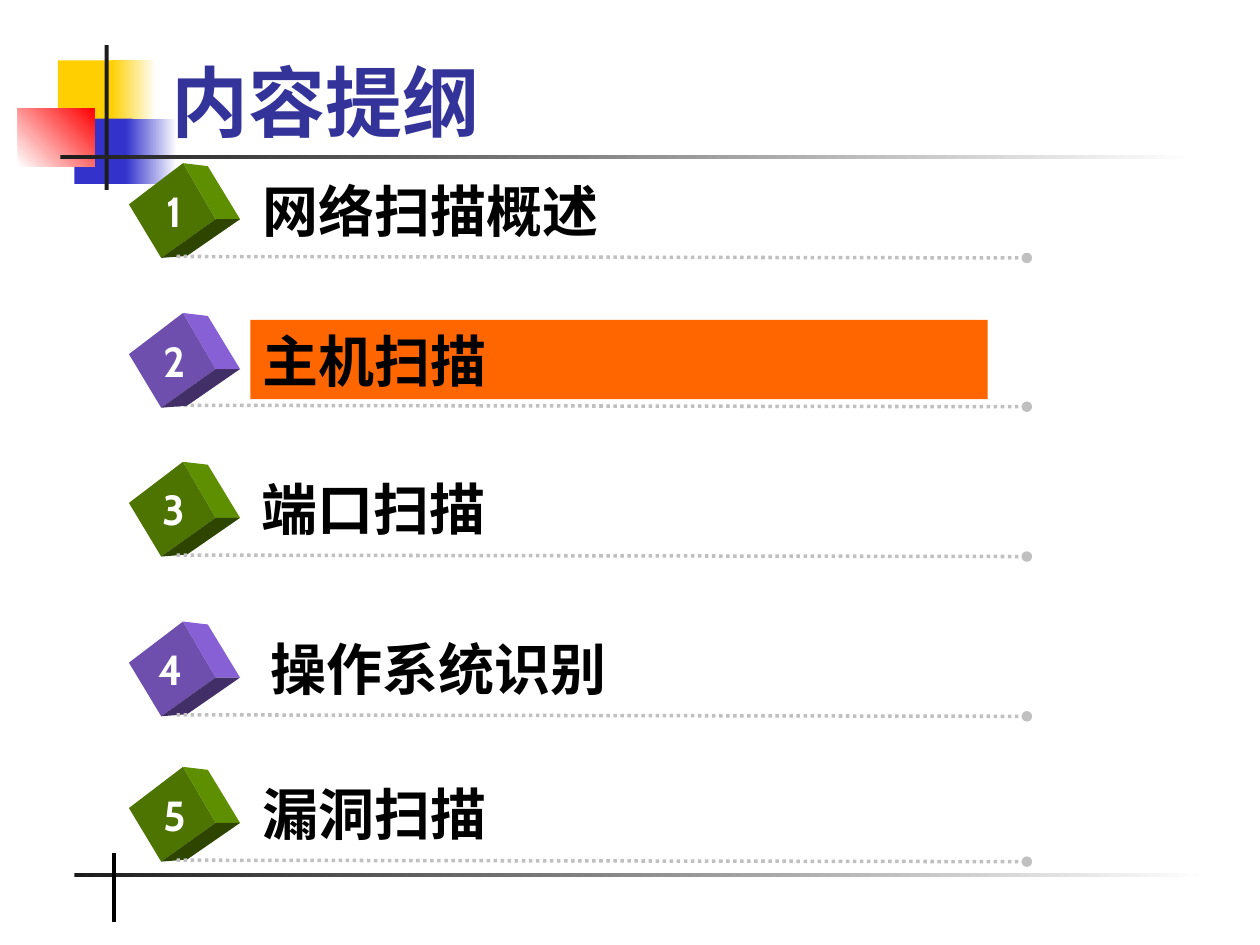
from lxml import etree
from pptx import Presentation
from pptx.dml.color import RGBColor
from pptx.enum.dml import MSO_LINE
from pptx.enum.shapes import MSO_CONNECTOR, MSO_SHAPE
from pptx.enum.text import MSO_ANCHOR, PP_ALIGN
from pptx.oxml.ns import qn
from pptx.util import Cm, Pt

RECT = MSO_SHAPE.RECTANGLE
STRAIGHT = MSO_CONNECTOR.STRAIGHT
DOTS = MSO_LINE.ROUND_DOT
MIDDLE, BOTTOM = MSO_ANCHOR.MIDDLE, MSO_ANCHOR.BOTTOM
LEFT, CENTER = PP_ALIGN.LEFT, PP_ALIGN.CENTER

COLORS = {
    "gold": "FFCF01", "blue": "3333CC", "red": "FF0000", "white": "FFFFFF",
    "ink": "1C1C1C", "black": "000000", "title": "333399", "mark": "FF6600",
    "dots": "C0C0C0",
}
GREEN = {"front": "4D7300", "side": "5E8F00", "base": "2E4500"}
PURPLE = {"front": "6E4FAD", "side": "8860D6", "base": "422F68"}

FACES = {
    "front": [(0, 0.69), (1.09, -0.14), (1.75, 0.99), (0.65, 1.77)],
    "side": [(1.09, -0.14), (1.59, -0.08), (2.24, 0.99), (1.75, 0.99)],
    "base": [(0.65, 1.77), (1.75, 0.99), (2.24, 0.99), (1.17, 1.73)],
}

BLOCKS = [
    (1.17, 1.22, 1.22, 1.32, "gold", None, 0),
    (2.24, 1.22, 0.91, 1.32, "gold", "white", 0),
    (1.5, 2.39, 1.17, 1.32, "blue", None, 0),
    (2.54, 2.39, 1.02, 1.32, "blue", "white", 0),
    (0.36, 2.18, 1.55, 1.17, "white", "red", 45),
    (2.11, 0.91, 0.08, 2.92, "ink", None, 0),
    (1.22, 3.12, 22.86, 0.08, "ink", "white", 0),
    (1.5, 17.6, 22.86, 0.08, "ink", "white", 0),
]

ITEMS = [
    ("网络扫描概述", 3.43, 5.05, 3.02, 15.27),
    ("主机扫描", 6.45, 5.05, 3.02, 14.86),
    ("端口扫描", 9.45, 5.03, 3, 15.27),
    ("操作系统识别", 12.67, 5.21, 2.95, 15.11),
    ("漏洞扫描", 15.6, 5.05, 3.02, 19.25),
]
ACTIVE = 2


def rgb(name):
    """Return the named palette colour."""
    return RGBColor.from_string(COLORS[name])


def add_block(slide, x, y, w, h, tone, fade=None, angle=0):
    """Add a borderless rectangle, plain or fading to a second colour."""
    block = slide.shapes.add_shape(RECT, Cm(x), Cm(y), Cm(w), Cm(h))
    block.shadow.inherit = False
    block.line.fill.background()
    if fade:
        block.fill.gradient()
        block.fill.gradient_angle = angle
        for stop, name in zip(block.fill.gradient_stops, (tone, fade)):
            stop.color.rgb = rgb(name)
    else:
        block.fill.solid()
        block.fill.fore_color.rgb = rgb(tone)
    return block


def add_line(slide, x1, y1, x2, y2, tone, width):
    """Add a straight line without a shadow."""
    line = slide.shapes.add_connector(STRAIGHT, Cm(x1), Cm(y1), Cm(x2), Cm(y2))
    line.line.color.rgb = rgb(tone)
    line.line.width = Pt(width)
    etree.SubElement(line._element.spPr, qn("a:effectLst"))
    return line


def add_rule(slide, top):
    """Add a dotted rule that ends in a round dot."""
    rule = add_line(slide, 3.56, top, 20.7, top + 0.03, "dots", 2)
    rule.line.dash_style = DOTS
    tail = etree.SubElement(rule.line._get_or_add_ln(), qn("a:tailEnd"))
    tail.set("type", "oval")


def add_text(slide, text, x, y, w, h, size, tone, font="Cabin",
             align=LEFT, anchor=MIDDLE, wrap=True):
    """Add a bold text box of one line."""
    box = slide.shapes.add_textbox(Cm(x), Cm(y), Cm(w), Cm(h))
    frame = box.text_frame
    frame.text = text
    frame.word_wrap = wrap
    frame.vertical_anchor = anchor
    para = frame.paragraphs[0]
    para.alignment = align
    face = para.runs[0].font
    face.name, face.size, face.bold = font, Pt(size), True
    face.color.rgb = rgb(tone)


def add_cube(slide, x, y, tones):
    """Add a tilted cube made of three faces."""
    for name, points in FACES.items():
        spots = [(Cm(x + dx), Cm(y + dy)) for dx, dy in points]
        path = slide.shapes.build_freeform(*spots[0])
        path.add_line_segments(spots[1:], close=True)
        face = path.convert_to_shape()
        face.shadow.inherit = False
        face.fill.solid()
        face.fill.fore_color.rgb = RGBColor.from_string(tones[name])
        face.line.fill.background()


def add_item(slide, num, label, top, left, spot, width):
    """Add a numbered cube with its label and dotted rule."""
    active = num == ACTIVE
    if active:
        add_rule(slide, top + 1.72)
    add_cube(slide, 2.6, top, GREEN if num % 2 else PURPLE)
    if active:
        add_block(slide, left, top, width, 1.6, "mark")
    add_text(slide, label, left, top, width, 1.6, 32, "black")
    add_text(slide, str(num), spot, top + 0.18, 0.99, 1.27, 24, "white",
             align=CENTER, wrap=False)
    if not active:
        add_rule(slide, top + 1.74)


def main():
    """Build the outline slide."""
    deck = Presentation()
    deck.slide_width, deck.slide_height = Cm(25.4), Cm(19.05)
    slide = deck.slides.add_slide(deck.slide_layouts[6])
    for block in BLOCKS:
        add_block(slide, *block)
    add_line(slide, 2.29, 17.2, 2.29, 18.59, "black", 2.25)
    add_text(slide, "内容提纲", 3.2, 0.41, 21.64, 2.67, 44, "title",
             font="Times New Roman", anchor=BOTTOM)
    for num, item in enumerate(ITEMS, 1):
        add_item(slide, num, *item)
    deck.save("out.pptx")


if __name__ == "__main__":
    main()
